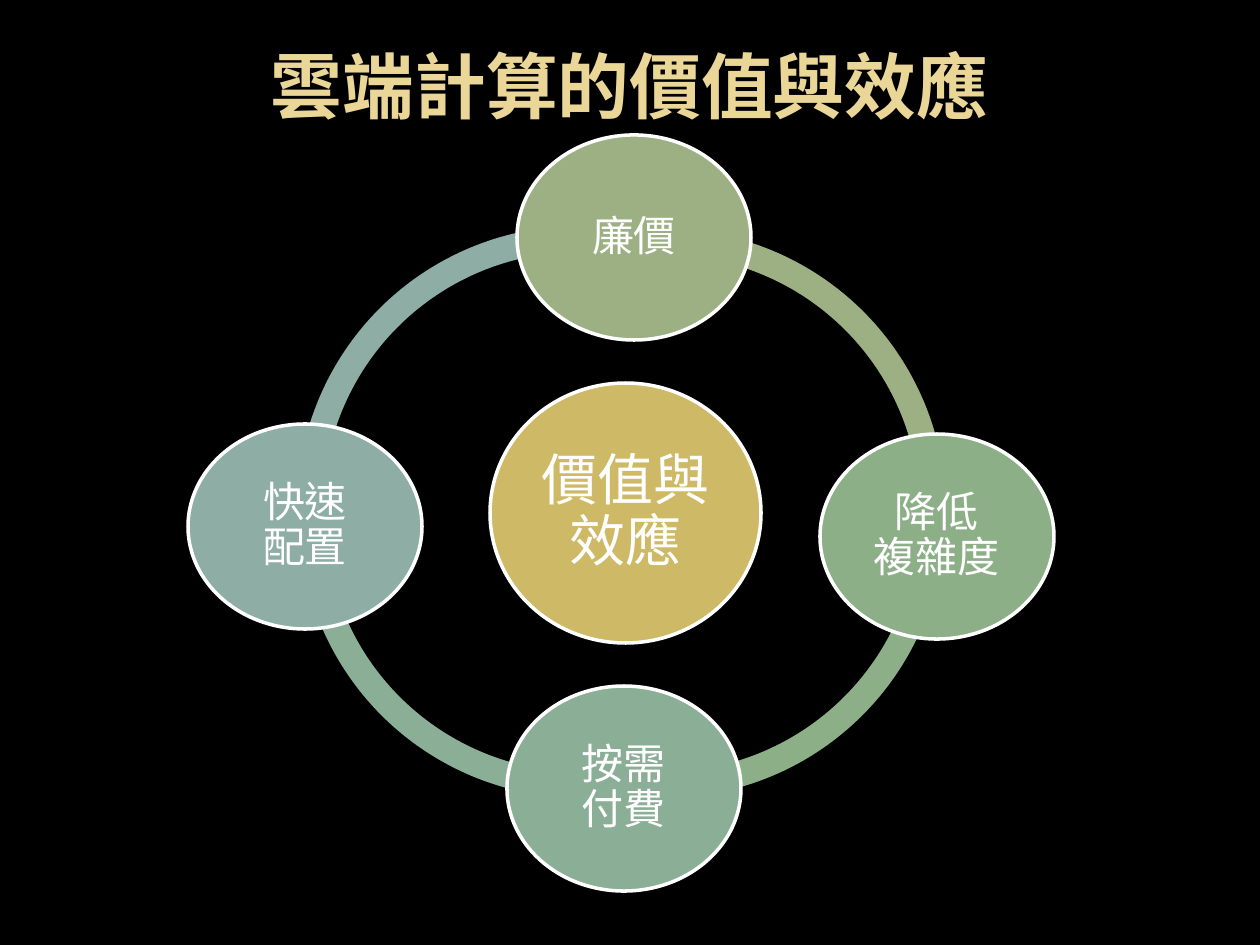
from dataclasses import dataclass

from pptx import Presentation
from pptx.dml.color import RGBColor
from pptx.enum.lang import MSO_LANGUAGE_ID
from pptx.enum.shapes import MSO_SHAPE
from pptx.enum.text import MSO_ANCHOR, PP_ALIGN
from pptx.util import Emu, Pt

OVAL, BLOCK_ARC = MSO_SHAPE.OVAL, MSO_SHAPE.BLOCK_ARC
MIDDLE, CENTER = MSO_ANCHOR.MIDDLE, PP_ALIGN.CENTER
CHINESE = MSO_LANGUAGE_ID.TRADITIONAL_CHINESE

PX_PER_INCH = 126
ARC_SIZE = 564
ARC_THICKNESS = 0.046
NODE_W, NODE_H = 234, 205
COLORS = {
    "black": "000000",
    "white": "FFFFFF",
    "title": "EAD696",
    "gold": "CEB966",
    "olive": "9CB084",
    "green": "8CAF87",
    "jade": "8BAE96",
    "teal": "8EADA5",
}


@dataclass
class Arc:
    x: int
    y: int
    start: float
    end: float
    color: str


@dataclass
class Node:
    text: str
    x: int
    y: int
    color: str
    w: int = NODE_W
    h: int = NODE_H
    size: int = 24


ARCS = [
    Arc(297, 226, 176.13, 281.32, "teal"),
    Arc(299, 234, 80.82, 177.98, "jade"),
    Arc(381, 234, 4.4, 98.12, "green"),
    Arc(382, 229, 263.83, 5.31, "olive"),
]
NODES = [
    Node("價值與效應", 490, 383, "gold", 271, 260, 32),
    Node("廉價", 517, 135, "olive"),
    Node("降低\v複雜度", 820, 434, "green"),
    Node("按需\v付費", 507, 686, "jade"),
    Node("快速\v配置", 188, 424, "teal"),
]


def px(n: int) -> Emu:
    return Emu(round(n * 914400 / PX_PER_INCH))


def rgb(name: str) -> RGBColor:
    return RGBColor.from_string(COLORS[name])


def write(sp, text: str, font: str, size: int, color: str, bold: bool = False) -> None:
    tf = sp.text_frame
    tf.text = text
    tf.word_wrap = True
    tf.vertical_anchor = MIDDLE
    p = tf.paragraphs[0]
    p.alignment = CENTER
    for r in p.runs:
        r.font.name = font
        r.font.size = Pt(size)
        r.font.bold = bold
        r.font.color.rgb = rgb(color)
        r.font.language_id = CHINESE


def add_filled(s, kind, x: int, y: int, w: int, h: int, color: str):
    sp = s.shapes.add_shape(kind, px(x), px(y), px(w), px(h))
    sp.shadow.inherit = False
    sp.fill.solid()
    sp.fill.fore_color.rgb = rgb(color)
    return sp


def draw_arc(s, arc: Arc) -> None:
    sp = add_filled(s, BLOCK_ARC, arc.x, arc.y, ARC_SIZE, ARC_SIZE, arc.color)
    sp.line.fill.background()
    sp.adjustments[0] = arc.start * 0.6
    sp.adjustments[1] = arc.end * 0.6
    sp.adjustments[2] = ARC_THICKNESS


def draw_node(s, node: Node) -> None:
    sp = add_filled(s, OVAL, node.x, node.y, node.w, node.h, node.color)
    sp.line.color.rgb = rgb("white")
    sp.line.width = Pt(2)
    write(sp, node.text, "Vollkorn", node.size, "white")
    tf = sp.text_frame
    tf.margin_left = tf.margin_right = tf.margin_top = tf.margin_bottom = px(4)
    tf.paragraphs[0].line_spacing = 0.9


def main() -> None:
    prs = Presentation()
    prs.slide_width, prs.slide_height = px(1260), px(945)
    s = prs.slides.add_slide(prs.slide_layouts[6])
    s.background.fill.solid()
    s.background.fill.fore_color.rgb = rgb("black")
    title = s.shapes.add_textbox(px(63), px(6), px(1134), px(158))
    write(title, "雲端計算的價值與效應", "Noto Sans", 41, "title", bold=True)
    for arc in ARCS:
        draw_arc(s, arc)
    for node in NODES:
        draw_node(s, node)
    prs.save("out.pptx")


if __name__ == "__main__":
    main()
